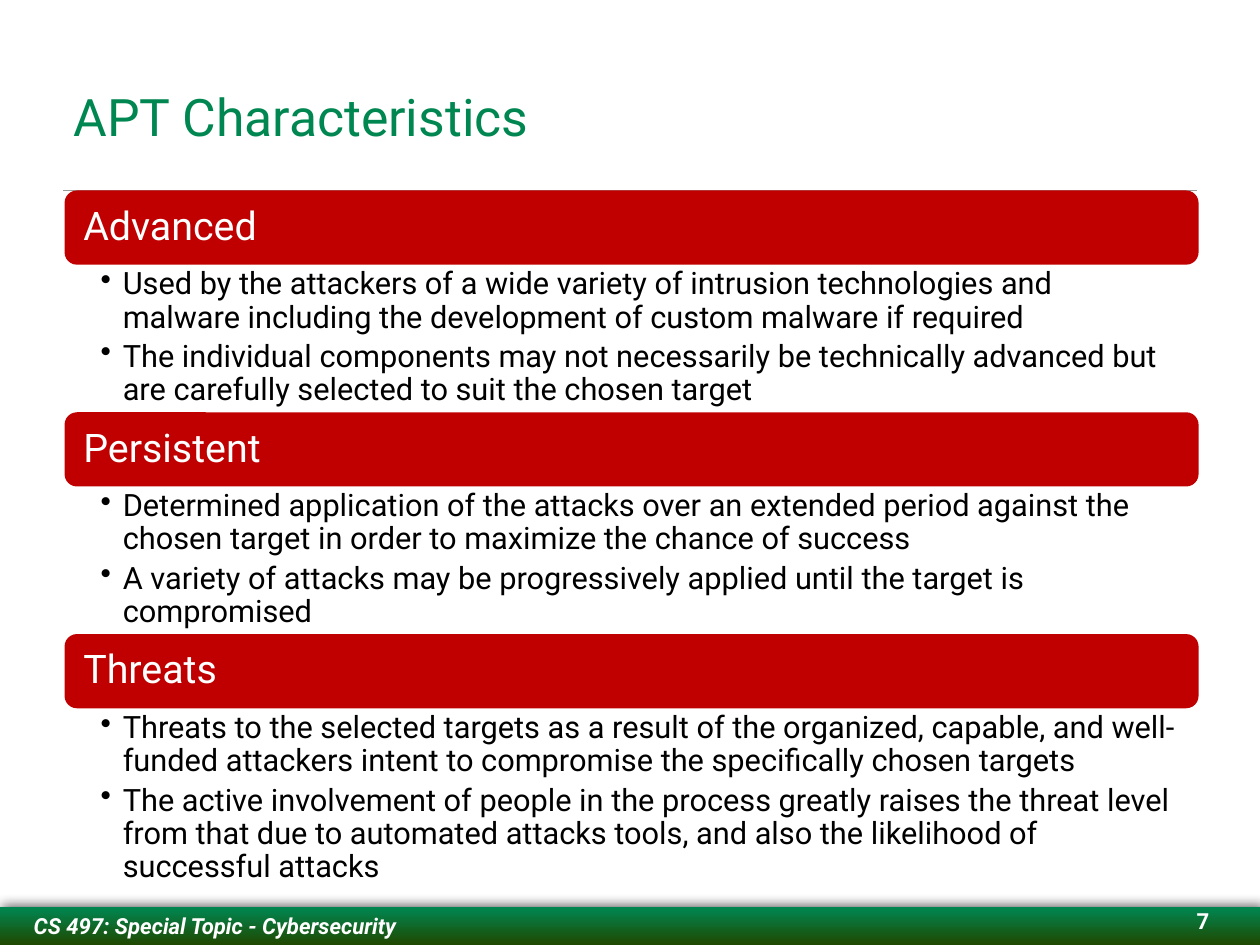
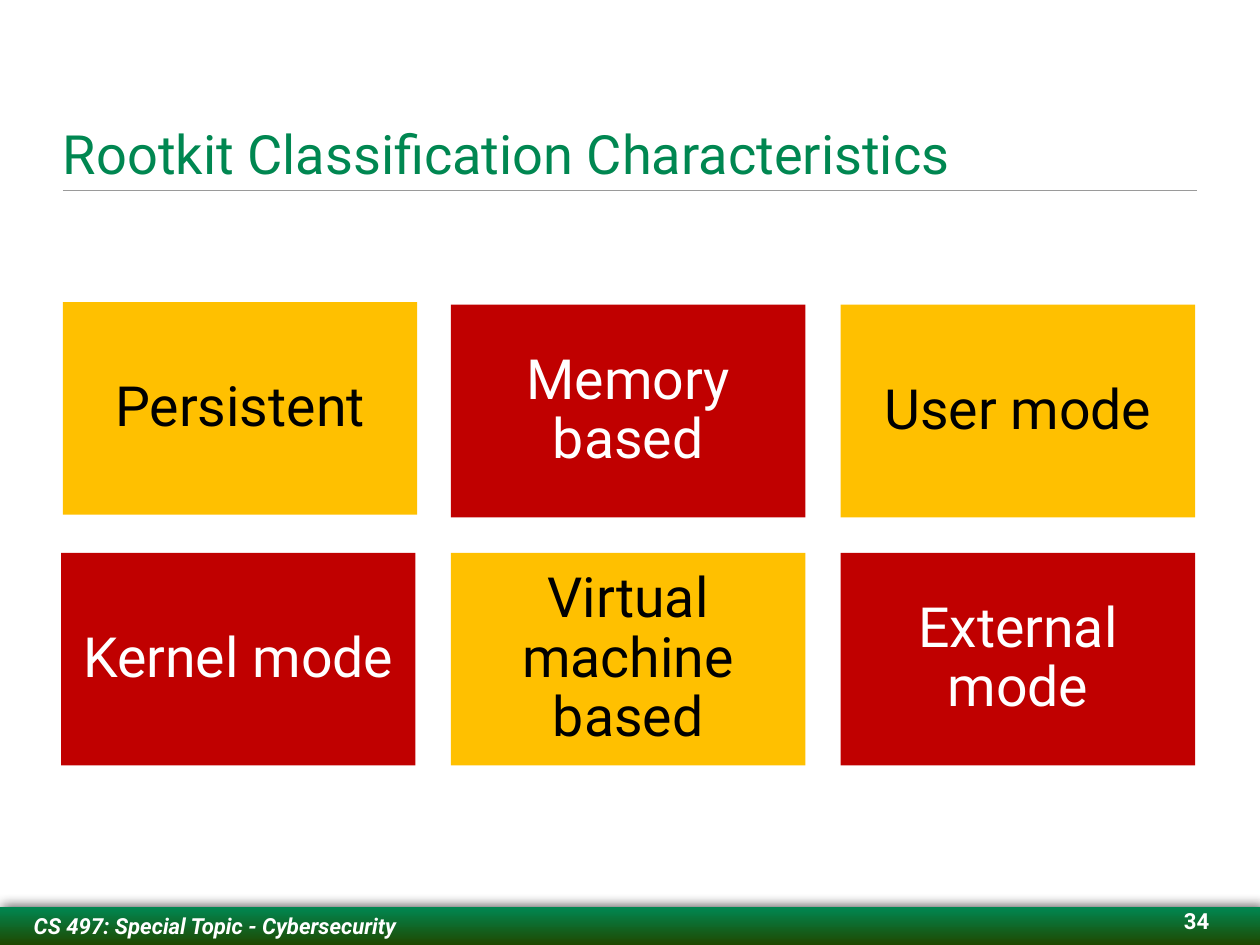
from lxml import etree
from pptx import Presentation
from pptx.dml.color import RGBColor
from pptx.enum.shapes import MSO_CONNECTOR, MSO_SHAPE
from pptx.enum.text import MSO_ANCHOR, PP_ALIGN
from pptx.oxml.ns import qn
from pptx.util import Pt

RECTANGLE, ROUNDED = MSO_SHAPE.RECTANGLE, MSO_SHAPE.ROUNDED_RECTANGLE
STRAIGHT = MSO_CONNECTOR.STRAIGHT
TOP, MIDDLE, BOTTOM = MSO_ANCHOR.TOP, MSO_ANCHOR.MIDDLE, MSO_ANCHOR.BOTTOM
LEFT, CENTER, RIGHT = PP_ALIGN.LEFT, PP_ALIGN.CENTER, PP_ALIGN.RIGHT


class Theme:
    font = "Roboto"
    green, dark_green = "008751", "1F4800"
    red, amber, rule = "C00000", "FFC000", "9A9A9A"
    white, black = "FFFFFF", "000000"
    footer_size, bullet_size, band_size, tile_size = 18, 25, 32, 45


# Content
FOOTER = "CS 497: Special Topic - Cybersecurity"
APT = {
    "title": "APT Characteristics", "number": 7,
    "title_size": 42, "title_at": (59.8, 30, 921.6, 89.5),
    "sections": [
        ("Advanced", [
            "Used by the attackers of a wide variety of intrusion technologies and "
            "malware including the development of custom malware if required",
            "The individual components may not necessarily be technically advanced "
            "but are carefully selected to suit the chosen target"]),
        ("Persistent", [
            "Determined application of the attacks over an extended period against "
            "the chosen target in order to maximize the chance of success",
            "A variety of attacks may be progressively applied until the target is "
            "compromised"]),
        ("Threats", [
            "Threats to the selected targets as a result of the organized, capable, "
            "and well-funded attackers intent to compromise the specifically chosen "
            "targets",
            "The active involvement of people in the process greatly raises the "
            "threat level from that due to automated attacks tools, and also the "
            "likelihood of successful attacks"]),
    ],
}
ROOTKIT = {
    "title": "Rootkit Classification Characteristics", "number": 34,
    "title_size": 44, "title_at": (51.2, 65, 921.6, 85.5),
    "tiles": ["Persistent", "Memory based", "User mode",
              "Kernel mode", "Virtual machine based", "External mode"],
}

# Layout, in points
SLIDE_WIDTH, SLIDE_HEIGHT = 1024, 768
RULE_LEFT, RULE_RIGHT, RULE_TOP = 51.2, 972.8, 154.8
FOOTER_TOP = 737.3
BAND_LEFT, BAND_WIDTH, BAND_HEIGHT, SECTION_PITCH = 52.5, 921.6, 60.3, 180.25
TILE_WIDTH, TILE_HEIGHT, TILE_GAP, COLUMNS = 288, 172.8, 28.8, 3
GRID_LEFT, GRID_TOP = 49.7, 247.7
NUDGES = {0: (1.4, -2.2)}  # the first tile sits slightly off the grid


def color(value):
    return RGBColor.from_string(value)


def write(box, lines, size, ink, align=LEFT, anchor=MIDDLE, insets=(0, 0, 0, 0),
          spacing=None, after=None, bullet=False, bold=False, italic=False):
    """Fill a box with styled paragraphs."""
    frame = box.text_frame
    frame.text = "\n".join(lines)
    frame.word_wrap = True
    frame.vertical_anchor = anchor
    (frame.margin_left, frame.margin_top,
     frame.margin_right, frame.margin_bottom) = map(Pt, insets)
    for para in frame.paragraphs:
        para.alignment = align
        if spacing:
            para.line_spacing = spacing
        if after:
            para.space_after = Pt(after)
        if bullet:
            properties = para._p.get_or_add_pPr()
            properties.set("marL", str(Pt(18)))
            properties.set("indent", str(-Pt(18)))
            etree.SubElement(properties, qn("a:buChar")).set("char", "•")
        for span in para.runs:
            font = span.font
            font.name, font.size = Theme.font, Pt(size)
            font.bold, font.italic = bold, italic
            font.color.rgb = color(ink)


def add_text(page, at, lines, size, ink, **style):
    write(page.shapes.add_textbox(*map(Pt, at)), lines, size, ink, **style)


def add_block(page, kind, at, fill=None):
    block = page.shapes.add_shape(kind, *map(Pt, at))
    block.shadow.inherit = False
    block.line.fill.background()
    if fill:
        block.fill.solid()
        block.fill.fore_color.rgb = color(fill)
    return block


def add_footer(page, number):
    bar = add_block(page, RECTANGLE,
                    (0, FOOTER_TOP, SLIDE_WIDTH, SLIDE_HEIGHT - FOOTER_TOP))
    bar.fill.gradient()
    bar.fill.gradient_angle = 270
    for stop, shade in zip(bar.fill.gradient_stops, (Theme.green, Theme.dark_green)):
        stop.color.rgb = color(shade)
    effects = bar._element.spPr.find(qn("a:effectLst"))
    shadow = etree.SubElement(effects, qn("a:outerShdw"), blurRad=str(Pt(10)),
                              dist=str(Pt(2)), dir=str(315 * 60000), rotWithShape="0")
    shade = etree.SubElement(shadow, qn("a:srgbClr"), val=Theme.black)
    etree.SubElement(shade, qn("a:alpha"), val="75000")
    write(bar, [FOOTER], Theme.footer_size, Theme.white,
          insets=(27.4, 0, 0, 0), bold=True, italic=True)
    add_text(page, (922.8, FOOTER_TOP, 60, 21.6), [str(number)], Theme.footer_size,
             Theme.white, align=RIGHT, anchor=TOP, bold=True)


def add_page(deck, content):
    """Add a page with the shared rule, footer and title."""
    page = deck.slides.add_slide(deck.slide_layouts[6])
    rule = page.shapes.add_connector(
        STRAIGHT, *map(Pt, (RULE_LEFT, RULE_TOP, RULE_RIGHT, RULE_TOP)))
    rule.line.color.rgb = color(Theme.rule)
    rule.line.width = Pt(1)
    etree.SubElement(rule._element.spPr, qn("a:effectLst"))
    add_footer(page, content["number"])
    add_text(page, content["title_at"], [content["title"]], content["title_size"],
             Theme.green, anchor=BOTTOM)
    return page


def add_sections(page, sections):
    for index, (heading, bullets) in enumerate(sections):
        top = RULE_TOP + index * SECTION_PITCH
        band = add_block(page, ROUNDED, (BAND_LEFT, top, BAND_WIDTH, BAND_HEIGHT),
                         Theme.red)
        write(band, [heading], Theme.band_size, Theme.white,
              insets=(12.3, 9, 12.3, 9), spacing=0.9)
        body_height = 148 if index == len(sections) - 1 else SECTION_PITCH - BAND_HEIGHT
        add_text(page, (BAND_LEFT, top + BAND_HEIGHT, BAND_WIDTH, body_height),
                 bullets, Theme.bullet_size, Theme.black, anchor=TOP,
                 insets=(29.3, 3, 18, 3), spacing=0.9, after=5, bullet=True)


def add_tiles(page, labels):
    for index, label in enumerate(labels):
        row, column = divmod(index, COLUMNS)
        shift_x, shift_y = NUDGES.get(index, (0, 0))
        left = GRID_LEFT + column * (TILE_WIDTH + TILE_GAP) + shift_x
        top = GRID_TOP + row * (TILE_HEIGHT + TILE_GAP) + shift_y
        fill, ink = ((Theme.red, Theme.white) if index % 2
                     else (Theme.amber, Theme.black))
        tile = add_block(page, RECTANGLE, (left, top, TILE_WIDTH, TILE_HEIGHT), fill)
        write(tile, [label], Theme.tile_size, ink, align=CENTER,
              insets=(13.5,) * 4, spacing=0.9)


def main():
    deck = Presentation()
    deck.slide_width, deck.slide_height = Pt(SLIDE_WIDTH), Pt(SLIDE_HEIGHT)
    add_sections(add_page(deck, APT), APT["sections"])
    add_tiles(add_page(deck, ROOTKIT), ROOTKIT["tiles"])
    deck.save("out.pptx")


if __name__ == "__main__":
    main()
